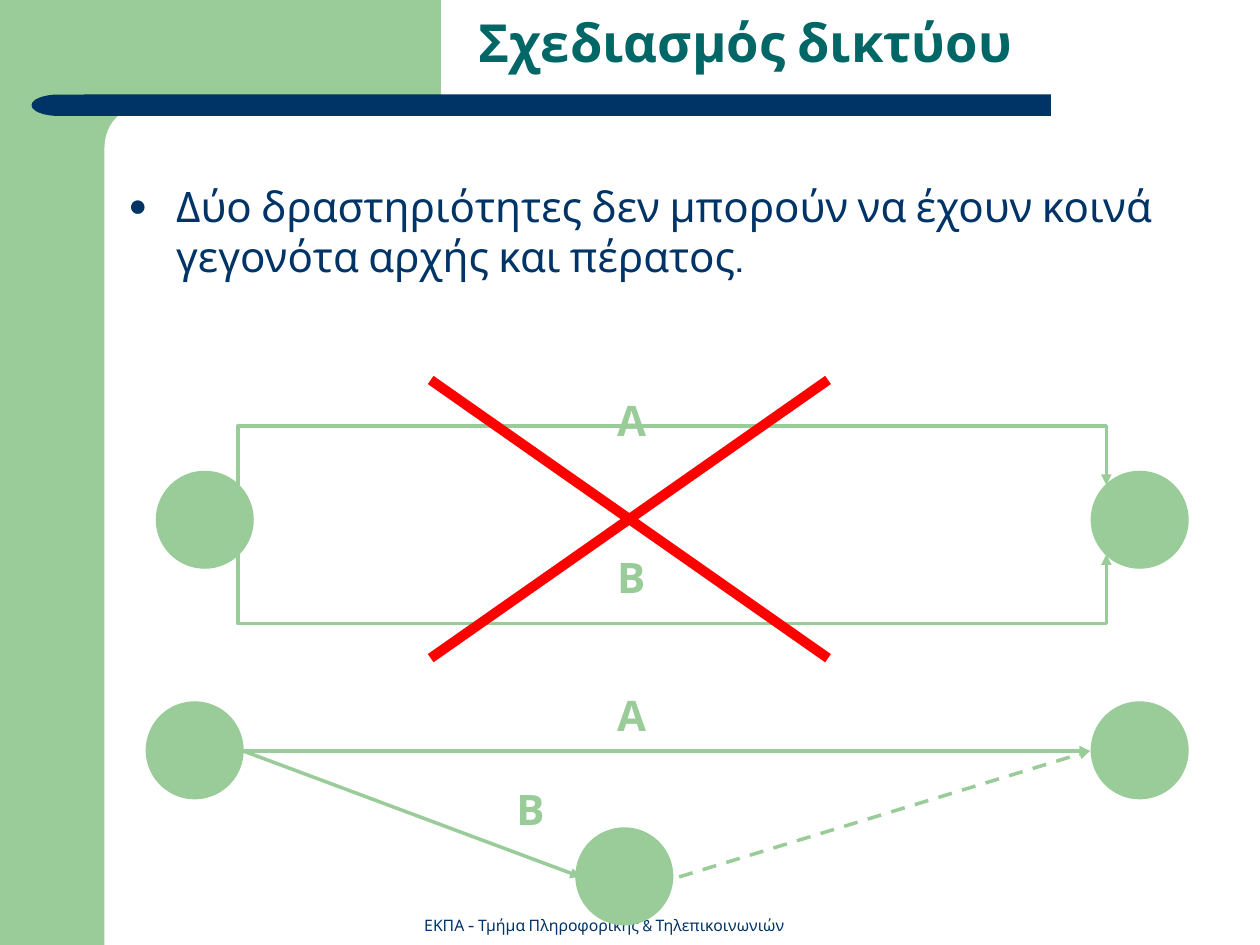
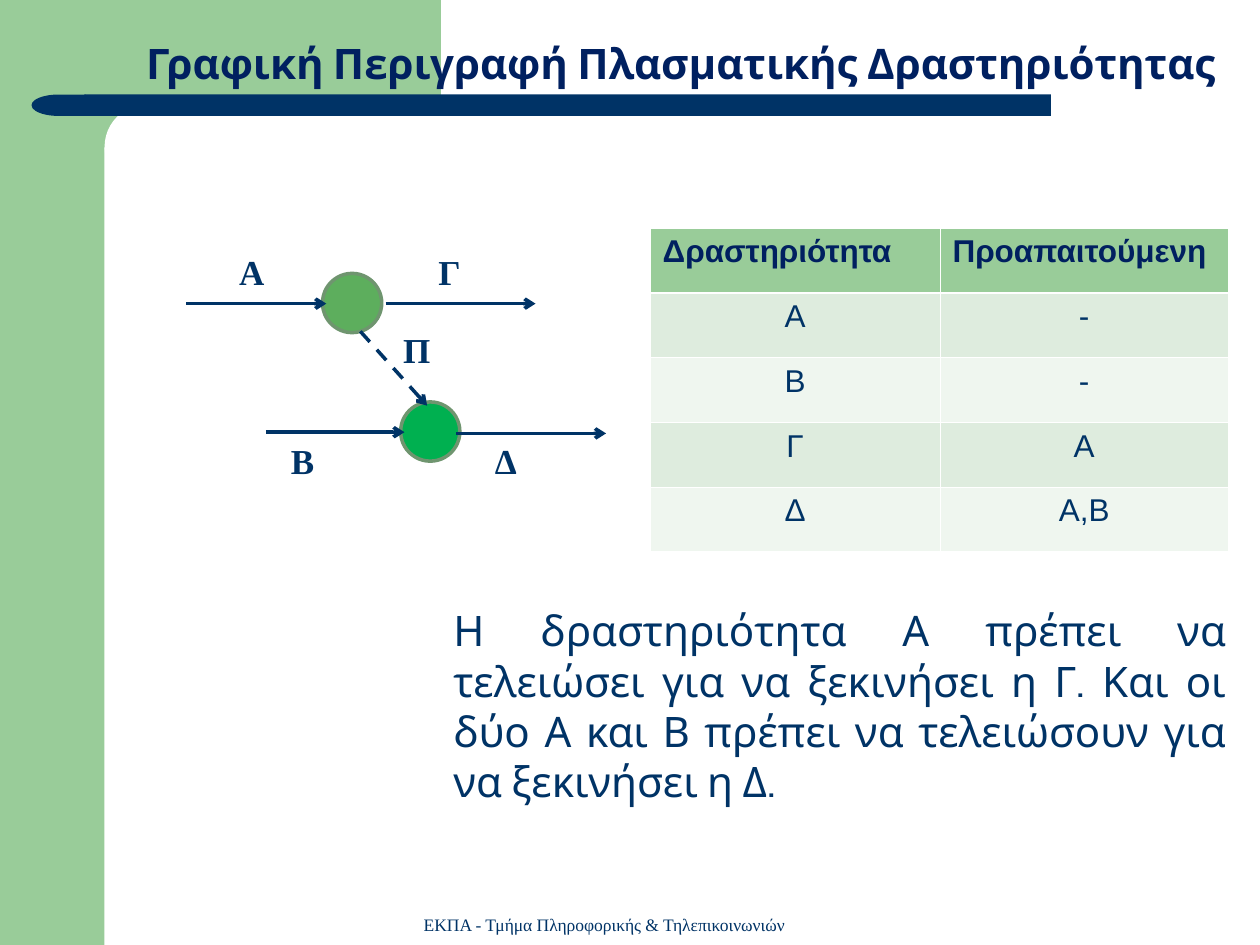
from lxml.etree import SubElement
from pptx import Presentation
from pptx.dml.color import RGBColor
from pptx.enum.dml import MSO_LINE
from pptx.enum.shapes import MSO_CONNECTOR, MSO_SHAPE
from pptx.enum.text import MSO_ANCHOR, MSO_AUTO_SIZE, PP_ALIGN
from pptx.oxml.ns import qn
from pptx.util import Pt

EMU_PER_PX = 9144
GREEN, NAVY, DARK_NAVY, TEAL = "99CC99", "003366", "002060", "006666"
WHITE, RED, RING = "FFFFFF", "FF0000", "6F956F"
HEADING_FONT, SERIF, SANS = "Cabin", "Times New Roman", "Arial"
FOOTER = "ΕΚΠΑ - Τμήμα Πληροφορικής & Τηλεπικοινωνιών"
ACTIVITIES = [
    ("Δραστηριότητα", "Προαπαιτούμενη"),
    ("Α", "-"),
    ("Β", "-"),
    ("Γ", "Α"),
    ("Δ", "Α,Β"),
]


def px(*lengths):
    """Turn px lengths into a list of EMU."""
    return [length * EMU_PER_PX for length in lengths]


def color(value):
    """Return the colour for a hex string."""
    return RGBColor.from_string(value)


def add_bullet(para, indent):
    """Give a paragraph a hanging round bullet."""
    properties = para._p.get_or_add_pPr()
    properties.set("marL", str(indent * EMU_PER_PX))
    properties.set("indent", str(-indent * EMU_PER_PX))
    tint = SubElement(properties, qn("a:buClr"))
    SubElement(tint, qn("a:srgbClr"), val=NAVY)
    SubElement(properties, qn("a:buSzPct"), val="75000")
    SubElement(properties, qn("a:buFont"), typeface=SANS)
    SubElement(properties, qn("a:buChar"), char="●")


def write(frame, text, size=24, font=HEADING_FONT, ink=NAVY, bold=False,
          align=PP_ALIGN.LEFT, spacing=None, bullet_indent=0):
    """Put one formatted paragraph in a text frame."""
    para = frame.paragraphs[0]
    para.alignment = align
    if spacing:
        para.line_spacing = spacing
    if bullet_indent:
        add_bullet(para, bullet_indent)
    span = para.add_run()
    span.text = text
    span.font.size = Pt(size)
    span.font.name = font
    span.font.bold = bold
    span.font.color.rgb = color(ink)


def add_text(page, text, place, wrap=True, anchor=MSO_ANCHOR.TOP, **style):
    """Add a text box with one paragraph."""
    frame = page.shapes.add_textbox(*px(*place)).text_frame
    frame.word_wrap = wrap
    frame.vertical_anchor = anchor
    write(frame, text, **style)


def set_title(page, text, place, anchor, **style):
    """Place and format the title placeholder."""
    title = page.shapes.title
    title.left, title.top, title.width, title.height = px(*place)
    frame = title.text_frame
    frame.auto_size = MSO_AUTO_SIZE.NONE
    frame.word_wrap = True
    frame.vertical_anchor = anchor
    write(frame, text, bold=True, **style)


def add_shape(page, kind, place, fill, outline=None, rotation=0):
    """Add a flat preset shape."""
    shape = page.shapes.add_shape(kind, *px(*place))
    shape.shadow.inherit = False
    shape.rotation = rotation
    shape.fill.solid()
    shape.fill.fore_color.rgb = color(fill)
    if outline:
        shape.line.color.rgb = color(outline)
        shape.line.width = Pt(2)
    else:
        shape.line.fill.background()
    return shape


def add_event(page, left, top, size=75, fill=GREEN, outline=GREEN):
    """Add the circle of an event."""
    add_shape(page, MSO_SHAPE.OVAL, (left, top, size, size), fill, outline)


def style_arrow(line, ink, head, dashed=False):
    """Format a line and put an arrowhead at its end."""
    line.color.rgb = color(ink)
    line.width = Pt(2)
    if dashed:
        line.dash_style = MSO_LINE.DASH
    SubElement(line._get_or_add_ln(), qn("a:tailEnd"), type=head)


def add_arrow(page, start, end, ink=GREEN, head="triangle", dashed=False):
    """Add a straight arrow."""
    arrow = page.shapes.add_connector(MSO_CONNECTOR.STRAIGHT, *px(*start, *end))
    SubElement(arrow.element.spPr, qn("a:effectLst"))
    style_arrow(arrow.line, ink, head, dashed)


def add_detour(page, left, right, level, turn):
    """Add an arrow that leaves a level, crosses at the turn and comes back."""
    builder = page.shapes.build_freeform(*px(left, level), scale=1.0)
    corners = [(left, turn), (right, turn), (right, level)]
    builder.add_line_segments([px(*corner) for corner in corners], close=False)
    detour = builder.convert_to_shape()
    detour.shadow.inherit = False
    detour.fill.background()
    style_arrow(detour.line, GREEN, "triangle")


def add_border(cell, side, points):
    """Draw one white side of a table cell."""
    border = SubElement(cell._tc.get_or_add_tcPr(), qn(f"a:ln{side}"),
                        w=str(int(Pt(points))))
    fill = SubElement(border, qn("a:solidFill"))
    SubElement(fill, qn("a:srgbClr"), val=WHITE)


def add_activity_table(page, place, column_widths):
    """Add the table of activities and what each one requires."""
    table = page.shapes.add_table(
        len(ACTIVITIES), len(column_widths), *px(*place)).table
    for column, width in zip(table.columns, px(*column_widths)):
        column.width = width
    for row, values in enumerate(ACTIVITIES):
        header = row == 0
        fill = GREEN if header else ("EFF6EF", "DEECDE")[row % 2]
        for column, value in enumerate(values):
            cell = table.cell(row, column)
            for side in "LRTB":
                thick = (row, side) in ((0, "B"), (1, "T"))
                add_border(cell, side, 1.47 if thick else 0.45)
            cell.fill.solid()
            cell.fill.fore_color.rgb = color(fill)
            write(cell.text_frame, value, size=18, font=SANS, bold=header,
                  ink=DARK_NAVY if header else NAVY,
                  align=PP_ALIGN.LEFT if header else PP_ALIGN.CENTER)


def add_bands(page):
    """Draw the shared bands and move them to the layout of the page."""
    bands = [
        add_shape(page, MSO_SHAPE.RECTANGLE, (0, 0, 83, 750), GREEN),
        add_shape(page, MSO_SHAPE.RECTANGLE, (75, 0, 275, 117), GREEN),
        add_shape(page, MSO_SHAPE.ROUNDED_RECTANGLE, (83, 83, 558, 67), WHITE),
        add_shape(page, MSO_SHAPE.RECTANGLE, (67, 75, 767, 17), NAVY),
        add_shape(page, MSO_SHAPE.FLOWCHART_DELAY, (25, 75, 43, 17), NAVY,
                  rotation=180),
    ]
    bands[2].adjustments[0] = 0.5
    tree = page.slide_layout.shapes.element
    for band in bands:
        tree.append(band.element)


def add_footer(page, size, font):
    """Add the department line at the bottom."""
    add_text(page, FOOTER, (321, 722, 317, 25), anchor=MSO_ANCHOR.BOTTOM,
             size=size, font=font, align=PP_ALIGN.CENTER)


def fill_network_page(page):
    """Show the wrong and the right network for two parallel activities."""
    add_footer(page, 9, HEADING_FONT)
    set_title(page, "Σχεδιασμός δικτύου", (370, 3, 630, 64), MSO_ANCHOR.TOP,
              size=30, ink=TEAL)
    add_text(page, "Δύο δραστηριότητες δεν μπορούν να έχουν κοινά γεγονότα "
             "αρχής και πέρατος.", (92, 138, 883, 92), bullet_indent=38)
    for left, top in ((125, 375), (867, 375), (117, 558), (867, 558), (458, 658)):
        add_event(page, left, top)
    for level, turn in ((385, 338), (440, 495)):
        add_detour(page, 189, 878, level, turn)
    for name, left, top in (("Α", 480, 308), ("Β", 480, 433),
                            ("Α", 480, 542), ("Β", 400, 617)):
        add_text(page, name, (left, top, 43, 50), wrap=False, ink=GREEN, bold=True)
    for angle in (35, 325):
        add_shape(page, MSO_SHAPE.RECTANGLE, (307, 408, 385, 8), RED, rotation=angle)
    add_arrow(page, (193, 596), (461, 696))
    add_arrow(page, (193, 596), (865, 596))
    add_arrow(page, (539, 696), (865, 596), dashed=True)


def fill_dummy_page(page):
    """Show a dummy activity beside its table of requirements."""
    add_footer(page, 10, SERIF)
    set_title(page, "Γραφική Περιγραφή Πλασματικής Δραστηριότητας",
              (33, 25, 942, 50), MSO_ANCHOR.BOTTOM, ink=DARK_NAVY,
              align=PP_ALIGN.RIGHT, spacing=0.9)
    add_event(page, 256, 217, 47, "5DAE5D", RING)
    add_event(page, 318, 319, 47, "00B050", RING)
    for start, end, dashed in (
        ((148, 241), (259, 241), False),
        ((306, 241), (425, 241), False),
        ((211, 343), (321, 343), False),
        ((362, 344), (481, 344), False),
        ((286, 263), (339, 322), True),
    ):
        add_arrow(page, start, end, ink=NAVY, head="arrow", dashed=dashed)
    for name, left, top in (("Α", 180, 194), ("Γ", 338, 194), ("Π", 310, 256),
                            ("Β", 221, 344), ("Δ", 383, 344)):
        add_text(page, name, (left, top, 55, 44), size=20, font=SERIF, bold=True)
    add_activity_table(page, (516, 181, 459, 257), (230, 229))
    add_text(page, "Η δραστηριότητα Α πρέπει να τελειώσει για να ξεκινήσει η Γ. "
             "Και οι δύο Α και Β πρέπει να τελειώσουν για να ξεκινήσει η Δ.",
             (350, 475, 633, 170), align=PP_ALIGN.JUSTIFY)


def main():
    """Build and save the deck."""
    deck = Presentation()
    deck.slide_width, deck.slide_height = px(1000, 750)
    layout = deck.slide_layouts[5]
    network_page = deck.slides.add_slide(layout)
    add_bands(network_page)
    fill_network_page(network_page)
    fill_dummy_page(deck.slides.add_slide(layout))
    deck.save("out.pptx")


if __name__ == "__main__":
    main()
